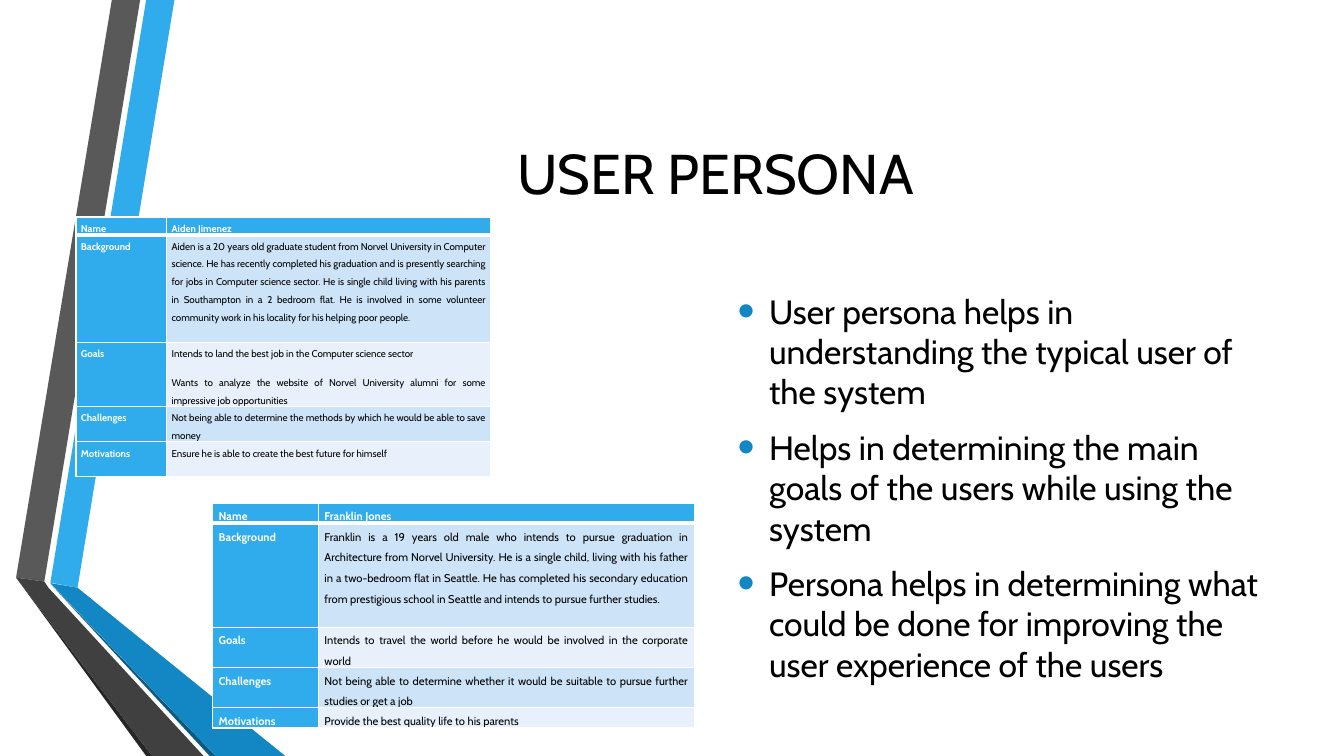
from dataclasses import dataclass

from lxml.etree import SubElement
from pptx import Presentation
from pptx.dml.color import RGBColor as Rgb
from pptx.enum.text import MSO_ANCHOR as Anchor, PP_ALIGN as Align
from pptx.oxml.ns import qn
from pptx.util import Pt


@dataclass(frozen=True)
class Theme:
    font: str = "Cabin"
    title_size: float = 40
    body_size: float = 24
    ink: str = "000000"
    paper: str = "FFFFFF"
    blue: str = "30ACEC"
    blue_fold: str = "1287C3"
    blue_shade: str = "0C5A82"
    grey: str = "595959"
    grey_fold: str = "404040"
    grey_shade: str = "262626"
    bands: tuple = ("CDE3F8", "E8F1FB")


THEME = Theme()

RIBBONS = [
    (THEME.blue, [(36, 416.2), (55.4, 419.8), (124.6, 0), (104.4, 0)]),
    (THEME.grey, [(100.1, 0), (79.9, 0), (11.5, 412.6), (31.7, 415.4)]),
    (THEME.grey_shade, [(11.5, 412.6), (104.4, 540), (108.7, 540)]),
    (THEME.blue_shade, [(36, 416.9), (149.8, 540), (154.1, 540)]),
    (THEME.blue_fold, [(36, 416.5), (154.1, 540), (203.8, 540), (55.4, 419.8)]),
    (THEME.grey_fold, [(145.4, 540), (34.6, 419.8), (31.7, 415.4), (11.5, 412.6), (108.7, 540)]),
]

TAKEAWAYS = [
    "User persona helps in understanding the typical user of the system",
    "Helps in determining the main goals of the users while using the system",
    "Persona helps in determining what could be done for improving the user experience of the users",
]

TOPICS = ["Name", "Background", "Goals", "Challenges", "Motivations"]

AIDEN = [
    ["Aiden Jimenez"],
    ["Aiden is a 20 years old graduate student from Norvel University in Computer science. "
     "He has recently completed his graduation and is presently searching for jobs in Computer "
     "science sector. He is single child living with his parents in Southampton in a 2 bedroom "
     "flat. He is involved in some volunteer community work in his locality for his helping poor people."],
    ["Intends to land the best job in the Computer science sector",
     "Wants to analyze the website of Norvel University alumni for some impressive job opportunities"],
    ["Not being able to determine the methods by which he would be able to save money"],
    ["Ensure he is able to create the best future for himself"],
]

FRANKLIN = [
    ["Franklin Jones"],
    ["Franklin is a 19 years old male who intends to pursue graduation in Architecture from "
     "Norvel University. He is a single child, living with his father in a two-bedroom flat in "
     "Seattle. He has completed his secondary education from prestigious school in Seattle and "
     "intends to pursue further studies."],
    ["Intends to travel the world before he would be involved in the corporate world"],
    ["Not being able to determine whether it would be suitable to pursue further studies or get a job"],
    ["Provide the best quality life to his parents"],
]


def add_run(paragraph, text, size, color, bold=False):
    run = paragraph.add_run()
    run.text = text
    run.font.name = THEME.font
    run.font.size = Pt(size)
    run.font.bold = bold
    run.font.color.rgb = Rgb.from_string(color)


def paragraphs_for(frame, texts):
    """Yield one paragraph of the frame for each text, reusing the first."""
    for index, text in enumerate(texts):
        yield (frame.add_paragraph() if index else frame.paragraphs[0]), text


def add_ribbon(slide, color, corners):
    start, *others = [(Pt(x), Pt(y)) for x, y in corners]
    outline = slide.shapes.build_freeform(*start)
    outline.add_line_segments(others, close=True)
    ribbon = outline.convert_to_shape()
    ribbon.shadow.inherit = False
    ribbon.fill.solid()
    ribbon.fill.fore_color.rgb = Rgb.from_string(color)
    ribbon.line.fill.background()


def add_text_area(slide, left, top, width, height):
    frame = slide.shapes.add_textbox(Pt(left), Pt(top), Pt(width), Pt(height)).text_frame
    frame.word_wrap = True
    frame.vertical_anchor = Anchor.MIDDLE
    return frame


def add_title(slide, title):
    heading = add_text_area(slide, 116.6, 54, 789.1, 138.2).paragraphs[0]
    heading.alignment = Align.CENTER
    add_run(heading, title, THEME.title_size, THEME.ink)


def set_bullet(paragraph, indent):
    props = paragraph._p.get_or_add_pPr()
    props.set("marL", str(Pt(indent)))
    props.set("indent", str(-Pt(indent)))
    SubElement(SubElement(props, qn("a:buClr")), qn("a:srgbClr"), val=THEME.blue_fold)
    SubElement(props, qn("a:buSzPct"), val="145000")
    SubElement(props, qn("a:buFont"), typeface="Arial")
    SubElement(props, qn("a:buChar"), char="•")


def add_takeaways(slide, takeaways):
    frame = add_text_area(slide, 519.8, 210.2, 385.9, 275.8)
    for paragraph, text in paragraphs_for(frame, takeaways):
        paragraph.space_before = Pt(0.2 * THEME.body_size)
        paragraph.space_after = Pt(6)
        set_bullet(paragraph, 22.5)
        add_run(paragraph, text, THEME.body_size, THEME.ink)


def set_borders(cell, top, bottom):
    props = cell._tc.get_or_add_tcPr()
    for side, width in (("L", 1), ("R", 1), ("T", top), ("B", bottom)):
        line = SubElement(props, qn(f"a:ln{side}"), w=str(Pt(width)))
        SubElement(SubElement(line, qn("a:solidFill")), qn("a:srgbClr"), val=THEME.paper)


def fill_cell(cell, texts, size, inset, row, is_label):
    is_heading = is_label or row == 0
    set_borders(cell, top=3 if row == 1 else 1, bottom=3 if row == 0 else 1)
    cell.fill.solid()
    background = THEME.blue if is_heading else THEME.bands[(row - 1) % 2]
    cell.fill.fore_color.rgb = Rgb.from_string(background)
    cell.margin_left = cell.margin_right = Pt(inset)
    cell.margin_top = cell.margin_bottom = 0
    for paragraph, text in paragraphs_for(cell.text_frame, texts):
        paragraph.alignment = Align.JUSTIFY
        paragraph.line_spacing = 1.5
        paragraph.space_after = Pt(8)
        add_run(paragraph, text, size, THEME.paper if is_heading else THEME.ink, is_heading)


def add_persona(slide, persona, left, top, widths, heights, size, inset):
    table = slide.shapes.add_table(
        len(heights), len(widths), Pt(left), Pt(top), Pt(sum(widths)), Pt(sum(heights))).table
    table.first_row = table.horz_banding = False
    for column, width in zip(table.columns, widths):
        column.width = Pt(width)
    for row, (topic, details, height) in enumerate(zip(TOPICS, persona, heights)):
        table.rows[row].height = Pt(height)
        fill_cell(table.cell(row, 0), [topic], size, inset, row, is_label=True)
        fill_cell(table.cell(row, 1), details, size, inset, row, is_label=False)


def main():
    deck = Presentation()
    deck.slide_width, deck.slide_height = Pt(960), Pt(540)
    slide = deck.slides.add_slide(deck.slide_layouts[6])
    for color, corners in RIBBONS:
        add_ribbon(slide, color, corners)
    add_title(slide, "USER PERSONA")
    add_takeaways(slide, TAKEAWAYS)
    add_persona(slide, AIDEN, 54.3, 155, widths=(64.8, 231.1),
                heights=(11.8, 77, 44.2, 24.6, 24.6), size=7, inset=3.5)
    add_persona(slide, FRANKLIN, 152, 359.4, widths=(75.6, 268.6),
                heights=(13.7, 74.2, 28.8, 28.8, 13.7), size=8, inset=4.2)
    deck.save("out.pptx")


if __name__ == "__main__":
    main()
